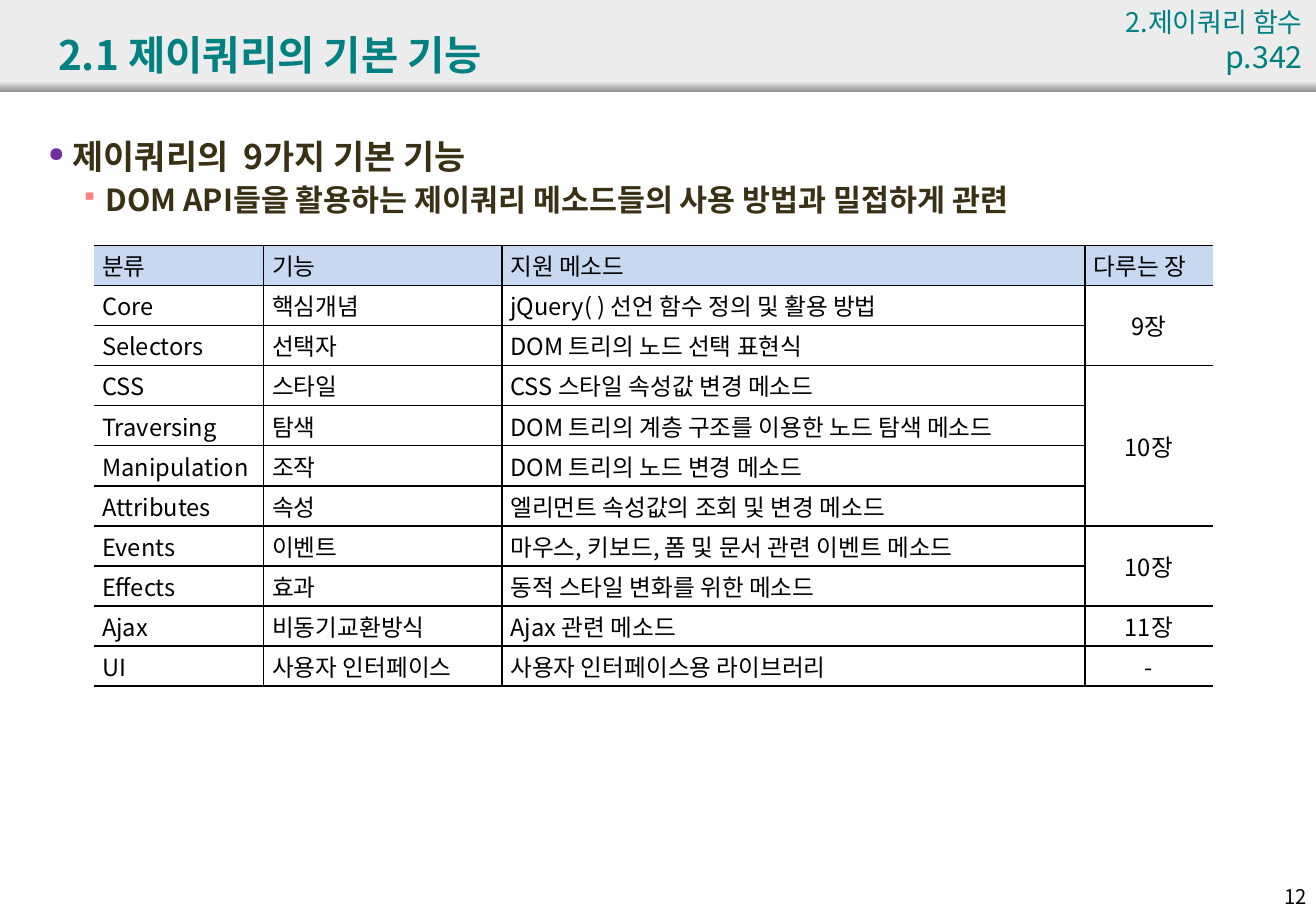
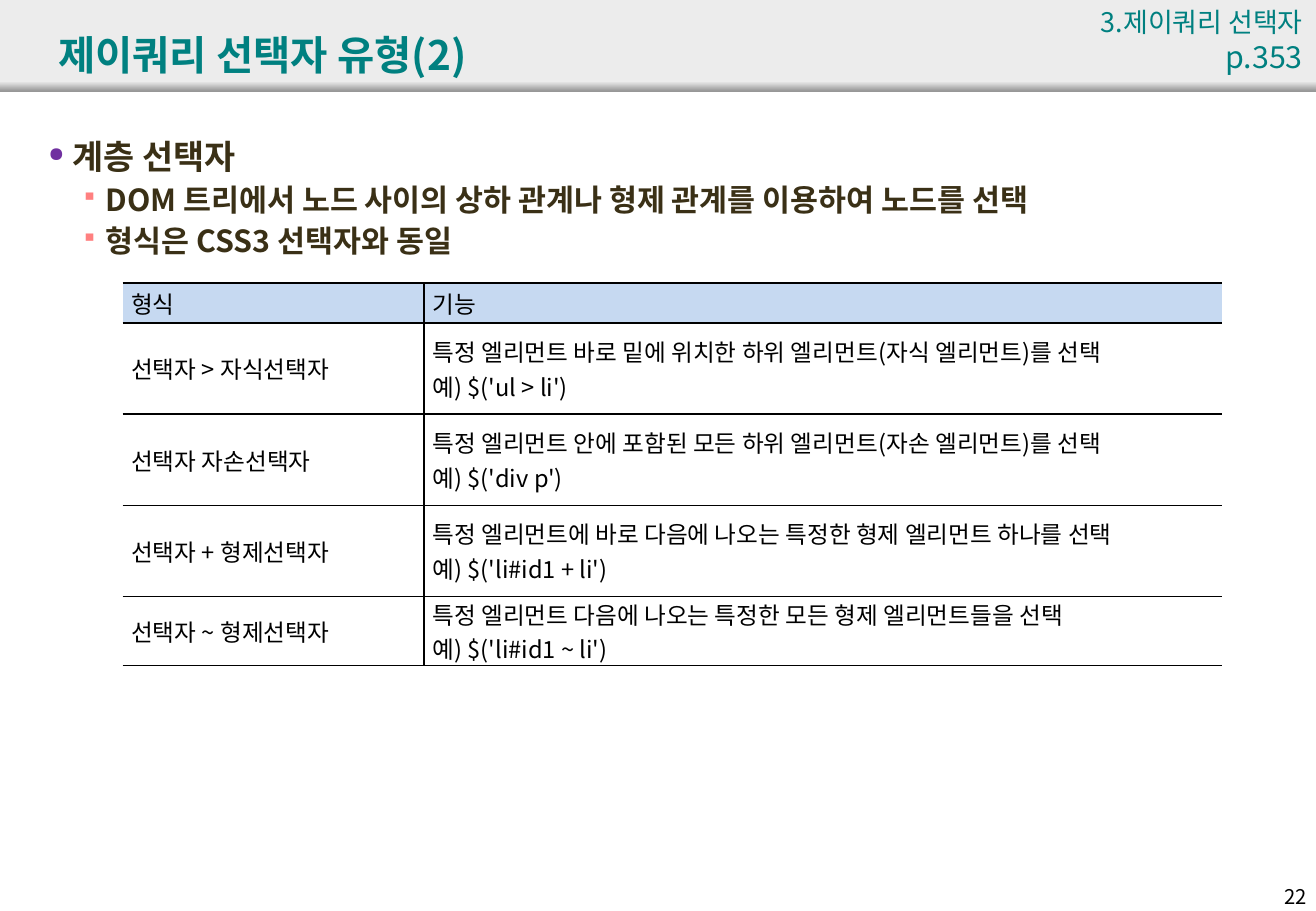
from lxml import etree
from pptx import Presentation
from pptx.dml.color import RGBColor
from pptx.enum.shapes import MSO_SHAPE
from pptx.enum.text import MSO_ANCHOR, PP_ALIGN
from pptx.oxml.ns import qn
from pptx.util import Inches, Pt

RECTANGLE = MSO_SHAPE.RECTANGLE
TOP, MIDDLE = MSO_ANCHOR.TOP, MSO_ANCHOR.MIDDLE
LEFT, CENTER, RIGHT, JUSTIFY = PP_ALIGN.LEFT, PP_ALIGN.CENTER, PP_ALIGN.RIGHT, PP_ALIGN.JUSTIFY

TEAL = RGBColor(0x00, 0x80, 0x80)
BROWN = RGBColor(0x3A, 0x30, 0x16)
BLACK = RGBColor(0x00, 0x00, 0x00)
BAND_GRAY = RGBColor(0xEC, 0xEC, 0xEC)
EDGE_GRAY = RGBColor(0x97, 0x97, 0x97)
HEADER_BLUE = RGBColor(0xC6, 0xD9, 0xF1)
PURPLE = RGBColor(0x70, 0x30, 0xA0)
CORAL = RGBColor(0xFF, 0x80, 0x80)

FONT = "Noto Sans CJK KR"
WIDTH, HEIGHT = 10.83, 7.5
BULLETS = [
    {"mark": "●", "color": PURPLE, "scale": 60, "size": 20, "margin": 0.2},
    {"mark": "▪", "color": CORAL, "scale": 75, "size": 18, "margin": 0.47},
]
BULLET_HANG = 0.2


class Deck:
    def __init__(self):
        self.presentation = Presentation()
        self.presentation.slide_width = Inches(WIDTH)
        self.presentation.slide_height = Inches(HEIGHT)
        self.slide = None

    def style(self, run, size, color=BLACK, bold=False):
        run.font.size = Pt(size)
        run.font.bold = bold
        run.font.color.rgb = color
        run.font.name = FONT
        etree.SubElement(run.font._element, qn("a:ea"), typeface=FONT)

    def band(self, top, height):
        band = self.slide.shapes.add_shape(
            RECTANGLE, 0, Inches(top), Inches(WIDTH), Inches(height))
        band.shadow.inherit = False
        band.line.fill.background()
        return band.fill

    def frame(self, left, top, width, height, anchor=TOP):
        frame = self.slide.shapes.add_textbox(
            Inches(left), Inches(top), Inches(width), Inches(height)).text_frame
        frame.word_wrap = True
        frame.vertical_anchor = anchor
        return frame

    def text(self, box, text, sizes, color, bold=False, align=LEFT, anchor=TOP):
        frame = self.frame(*box, anchor)
        paragraph = frame.paragraphs[0]
        paragraph.text = text
        paragraph.alignment = align
        for run, size in zip(paragraph.runs, sizes):
            self.style(run, size, color, bold)

    def new_slide(self, title, section, page, number):
        self.slide = self.presentation.slides.add_slide(
            self.presentation.slide_layouts[6])
        header = self.band(0, 0.75)
        header.solid()
        header.fore_color.rgb = BAND_GRAY
        edge = self.band(0.67, 0.08)
        edge.gradient()
        edge.gradient_angle = 270
        for stop, position, color in zip(
                edge.gradient_stops, (0, 1), (BAND_GRAY, EDGE_GRAY)):
            stop.position = position
            stop.color.rgb = color
        self.text((10.3, 7.23, 0.55, 0.3), number, [12], BLACK, align=RIGHT)
        self.text((0.38, 0.13, 9.92, 0.63), title, [24], TEAL, bold=True, anchor=MIDDLE)
        self.text((8.89, 0, 1.93, 0.4), f"{section}\v{page}", [16, 18], TEAL, align=RIGHT)

    def outline(self, items):
        frame = self.frame(0.3, 1.07, 10.32, 6.22)
        frame.text = "\n".join(text for level, text in items)
        for paragraph, (level, text) in zip(frame.paragraphs, items):
            bullet = BULLETS[level]
            paragraph.level = level
            paragraph.space_before = Pt(bullet["size"] * 0.15)
            properties = paragraph._p.get_or_add_pPr()
            properties.set("marL", str(Inches(bullet["margin"])))
            properties.set("indent", str(-Inches(BULLET_HANG)))
            color = etree.SubElement(properties, qn("a:buClr"))
            etree.SubElement(color, qn("a:srgbClr"), val=str(bullet["color"]))
            etree.SubElement(properties, qn("a:buSzPct"), val=str(bullet["scale"] * 1000))
            etree.SubElement(properties, qn("a:buChar"), char=bullet["mark"])
            self.style(paragraph.runs[0], bullet["size"], BROWN, bold=True)

    def borders(self, cell, sides):
        properties = cell._tc.get_or_add_tcPr()
        for index, side in enumerate("LRTB"):
            line = etree.Element(qn(f"a:ln{side}"), w=str(Pt(1)))
            if side in sides:
                fill = etree.SubElement(line, qn("a:solidFill"))
                etree.SubElement(fill, qn("a:srgbClr"), val=str(BLACK))
            else:
                etree.SubElement(line, qn("a:noFill"))
            properties.insert(index, line)

    def cell(self, cell, text, is_header, align):
        cell.vertical_anchor = MIDDLE
        cell.margin_left = cell.margin_right = Inches(0.07)
        cell.margin_top = cell.margin_bottom = 0
        if is_header:
            cell.fill.solid()
            cell.fill.fore_color.rgb = HEADER_BLUE
        else:
            cell.fill.background()
        cell.text_frame.text = text or ""
        for paragraph in cell.text_frame.paragraphs:
            paragraph.alignment = align
            for run in paragraph.runs:
                self.style(run, 14)

    def table(self, left, top, widths, heights, rows, centered=()):
        table = self.slide.shapes.add_table(
            len(rows), len(widths), Inches(left), Inches(top),
            Inches(sum(widths)), Inches(sum(heights))).table
        table.first_row = table.horz_banding = False
        for column, width in zip(table.columns, widths):
            column.width = Inches(width)
        for row, height in zip(table.rows, heights):
            row.height = Inches(height)
        last = len(widths) - 1
        for r, row in enumerate(rows):
            for c, text in enumerate(row):
                align = CENTER if r and c in centered else JUSTIFY
                cell = table.cell(r, c)
                self.cell(cell, text, r == 0, align)
                self.borders(cell, "TB" + ("L" if c else "") + ("R" if c < last else ""))
        for c in range(len(widths)):
            starts = [r for r, row in enumerate(rows) if row[c] is not None]
            for start, end in zip(starts, starts[1:] + [len(rows)]):
                if end - start > 1:
                    table.cell(start, c).merge(table.cell(end - 1, c))


def main():
    deck = Deck()

    deck.new_slide("2.1 제이쿼리의 기본 기능", "2.제이쿼리 함수", "p.342", "12")
    deck.outline([
        (0, "제이쿼리의  9가지 기본 기능"),
        (1, "DOM API들을 활용하는 제이쿼리 메소드들의 사용 방법과 밀접하게 관련"),
    ])
    features = [
        ("분류", "기능", "지원 메소드", "다루는 장"),
        ("Core", "핵심개념", "jQuery( ) 선언 함수 정의 및 활용 방법", "9장"),
        ("Selectors", "선택자", "DOM 트리의 노드 선택 표현식", None),
        ("CSS", "스타일", "CSS 스타일 속성값 변경 메소드", "10장"),
        ("Traversing", "탐색", "DOM 트리의 계층 구조를 이용한 노드 탐색 메소드", None),
        ("Manipulation", "조작", "DOM 트리의 노드 변경 메소드", None),
        ("Attributes", "속성", "엘리먼트 속성값의 조회 및 변경 메소드", None),
        ("Events", "이벤트", "마우스, 키보드, 폼 및 문서 관련 이벤트 메소드", "10장"),
        ("Effects", "효과", "동적 스타일 변화를 위한 메소드", None),
        ("Ajax", "비동기교환방식", "Ajax 관련 메소드", "11장"),
        ("UI", "사용자 인터페이스", "사용자 인터페이스용 라이브러리", "-"),
    ]
    deck.table(0.77, 2.02, [1.4, 1.96, 4.8, 1.05], [0.33] * len(features),
               features, centered=(3,))

    deck.new_slide("제이쿼리 선택자 유형(2)", "3.제이쿼리 선택자", "p.353", "22")
    deck.outline([
        (0, "계층 선택자"),
        (1, "DOM 트리에서 노드 사이의 상하 관계나 형제 관계를 이용하여 노드를 선택"),
        (1, "형식은 CSS3 선택자와 동일"),
    ])
    selectors = [
        ("형식", "기능"),
        ("선택자 > 자식선택자",
         "특정 엘리먼트 바로 밑에 위치한 하위 엘리먼트(자식 엘리먼트)를 선택\n예) $('ul > li')"),
        ("선택자 자손선택자",
         "특정 엘리먼트 안에 포함된 모든 하위 엘리먼트(자손 엘리먼트)를 선택\n예) $('div p')"),
        ("선택자 + 형제선택자",
         "특정 엘리먼트에 바로 다음에 나오는 특정한 형제 엘리먼트 하나를 선택\n예) $('li#id1 + li')"),
        ("선택자 ~ 형제선택자",
         "특정 엘리먼트 다음에 나오는 특정한 모든 형제 엘리먼트들을 선택\n예) $('li#id1 ~ li')"),
    ]
    deck.table(1.01, 2.33, [2.48, 6.57], [0.33, 0.75, 0.75, 0.75, 0.57], selectors)

    deck.presentation.save("out.pptx")


if __name__ == "__main__":
    main()
